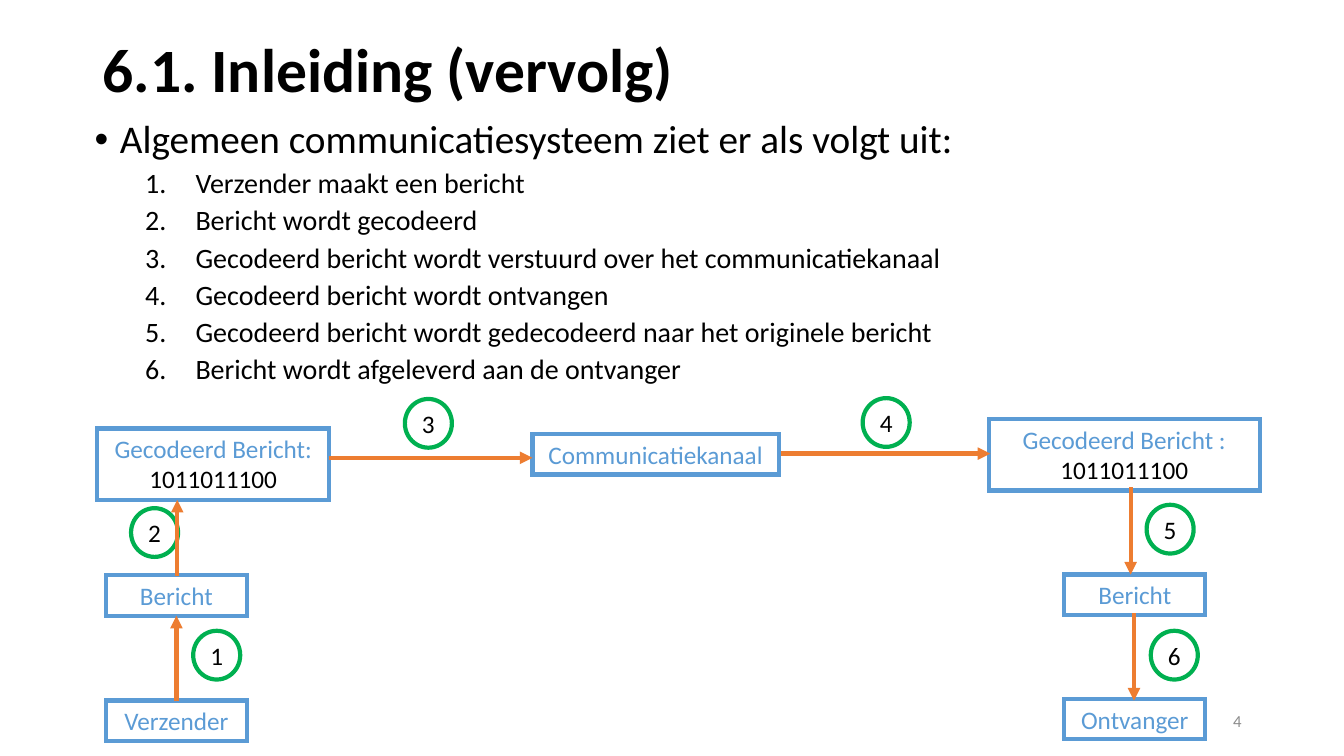
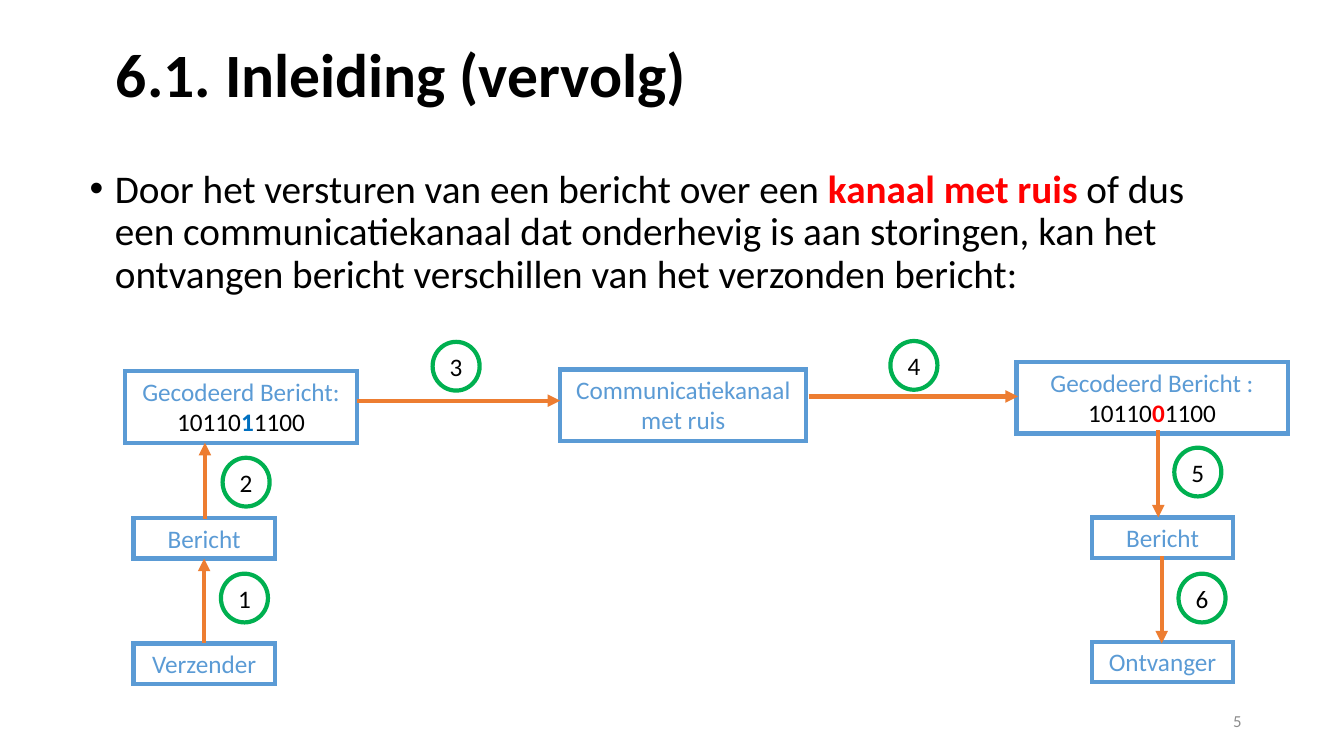
from lxml import etree
from pptx import Presentation
from pptx.dml.color import RGBColor
from pptx.enum.shapes import MSO_CONNECTOR, MSO_SHAPE
from pptx.enum.text import MSO_ANCHOR, MSO_AUTO_SIZE, PP_ALIGN
from pptx.oxml.ns import qn
from pptx.util import Inches, Pt

RECT, OVAL = MSO_SHAPE.RECTANGLE, MSO_SHAPE.OVAL
STRAIGHT = MSO_CONNECTOR.STRAIGHT
TOP, MIDDLE = MSO_ANCHOR.TOP, MSO_ANCHOR.MIDDLE
LEFT, CENTER, RIGHT = PP_ALIGN.LEFT, PP_ALIGN.CENTER, PP_ALIGN.RIGHT
FIXED, GROW = MSO_AUTO_SIZE.NONE, MSO_AUTO_SIZE.SHAPE_TO_FIT_TEXT

# The slide is a grid of 160 columns by 90 rows of square cells
CELL = Inches(1 / 12)
COLS, ROWS = 160, 90

FONT = "Calibri"
BLACK, WHITE, GREY = "000000", "FFFFFF", "8C8C8C"
SKY, BLUE, RED = "5B9BD5", "0070C0", "FF0000"
GREEN, ORANGE = "00B050", "ED7D31"
TITLE = "6.1. Inleiding (vervolg)"

STEPS = [
    "Verzender maakt een bericht",
    "Bericht wordt gecodeerd",
    "Gecodeerd bericht wordt verstuurd over het communicatiekanaal",
    "Gecodeerd bericht wordt ontvangen",
    "Gecodeerd bericht wordt gedecodeerd naar het originele bericht",
    "Bericht wordt afgeleverd aan de ontvanger",
]
NOISE = [
    ("Door het versturen van een bericht over een ", BLACK, False),
    ("kanaal met ruis ", RED, True),
    ("of dus een communicatiekanaal dat onderhevig is aan storingen, "
     "kan het ontvangen bericht verschillen van het verzonden bericht:",
     BLACK, False),
]

# Diagram, in cells from its own corner: node and message boxes, arrows, marks
WIDE, LOW, TALL = 16.8, 4.8, 8.5
NODES = [("Verzender", 1, 36), ("Bericht", 1, 21.1),
         ("Bericht", 115.1, 21), ("Ontvanger", 115.1, 35.8)]
CODED = [("Gecodeerd Bericht:", 0, 3.6, 27.6),
         ("Gecodeerd Bericht :", 106.1, 2.5, 32.3)]
ARROWS = [(9.4, 36, 9.4, 25.9), (9.5, 21.2, 9.5, 12.1),
          (27.6, 7.1, 51.8, 7.1), (81.4, 6.6, 106.3, 6.6),
          (123, 10.6, 123, 21), (123.4, 25.6, 123.4, 36)]
MARKS = {1: (11.4, 27.7), 3: (36.6, 0.1), 4: (91.1, 0),
         5: (124.9, 12.7), 6: (125.4, 27.7)}


def color(code):
    return RGBColor.from_string(code)


def cells(*sizes):
    return [round(size * CELL) for size in sizes]


def style(para, size, code=BLACK, bold=False, align=LEFT):
    para.alignment = align
    font = para.font
    font.name, font.size, font.bold = FONT, Pt(size), bold
    font.color.rgb = color(code)


def add_runs(para, runs):
    """Add runs that differ in colour and weight."""
    for text, code, bold in runs:
        run = para.add_run()
        run.text = text
        run.font.color.rgb = color(code)
        run.font.bold = bold


def bullet(para, left, hang, before, tag, **attrs):
    """Indent a paragraph and give it a bullet or a number."""
    para.line_spacing, para.space_before = 0.9, Pt(before)
    props = para._p.get_or_add_pPr()
    props.set("marL", str(Inches(left)))
    props.set("indent", str(-Inches(hang)))
    etree.SubElement(props, qn("a:buFont"), typeface="Arial" if tag == "buChar" else "+mj-lt")
    etree.SubElement(props, qn("a:" + tag), **attrs)


def add_text(slide, box, anchor=TOP):
    frame = slide.shapes.add_textbox(*cells(*box)).text_frame
    frame.word_wrap, frame.vertical_anchor = True, anchor
    return frame


def add_point(frame):
    para = frame.paragraphs[0]
    bullet(para, 0.25, 0.25, 10, "buChar", char="•")
    style(para, 28)
    return para


def add_shape(slide, kind, box, line, fill=None):
    shape = slide.shapes.add_shape(kind, *cells(*box))
    shape.shadow.inherit = False
    shape.line.color.rgb, shape.line.width = color(line), Pt(3)
    etree.SubElement(shape.line._get_or_add_ln(), qn("a:miter"), lim="800000")
    if fill:
        shape.fill.solid()
        shape.fill.fore_color.rgb = color(fill)
    else:
        shape.fill.background()
    return shape.text_frame


def add_box(slide, box, label, bits=()):
    frame = add_shape(slide, RECT, box, SKY, WHITE)
    frame.word_wrap, frame.auto_size = True, GROW
    frame.vertical_anchor = TOP
    para = frame.paragraphs[0]
    para.text = label
    style(para, 18, SKY, align=CENTER)
    if bits:
        para = frame.add_paragraph()
        style(para, 18, align=CENTER)
        add_runs(para, bits)


def add_mark(slide, number, x, y):
    frame = add_shape(slide, OVAL, (x, y, 5.6, 5.8), GREEN)
    frame.margin_left = frame.margin_right = 0
    frame.vertical_anchor = MIDDLE
    para = frame.paragraphs[0]
    para.text = str(number)
    style(para, 18, align=CENTER)


def add_arrow(slide, *ends):
    line = slide.shapes.add_connector(STRAIGHT, *cells(*ends))
    line.line.color.rgb, line.line.width = color(ORANGE), Pt(3)
    etree.SubElement(line.line._get_or_add_ln(), qn("a:tailEnd"), type="triangle")
    etree.SubElement(line._element.spPr, qn("a:effectLst"))


def add_slide(deck, number, x, y):
    """Add a slide with its title and page number."""
    slide = deck.slides.add_slide(deck.slide_layouts[5])
    title = slide.shapes.title
    title.left, title.top, title.width, title.height = cells(x, y, 138, 17.4)
    frame = title.text_frame
    frame.text = TITLE
    frame.auto_size, frame.vertical_anchor = FIXED, MIDDLE
    para = frame.paragraphs[0]
    para.line_spacing = 0.9
    style(para, 44, bold=True)
    page = add_text(slide, (113, 83.4, 36, 4.8), MIDDLE).paragraphs[0]
    page.text = str(number)
    style(page, 12, GREY, align=RIGHT)
    return slide


def add_scheme(slide, x, y, channel, rise, high, second, sent, got):
    """Draw the communication system with its corner at x, y."""
    for label, left, top in NODES:
        add_box(slide, (x + left, y + top, WIDE, LOW), label)
    for (label, left, top, width), bits in zip(CODED, (sent, got)):
        add_box(slide, (x + left, y + top, width, TALL), label, bits)
    add_box(slide, (x + 51.8, y + rise, 29.3, high), channel)
    for number, (left, top) in {**MARKS, 2: second}.items():
        add_mark(slide, number, x + left, y + top)
    for x1, y1, x2, y2 in ARROWS:
        add_arrow(slide, x + x1, y + y1, x + x2, y + y2)


def add_steps(deck):
    slide = add_slide(deck, 4, 11, -0.1)
    frame = add_text(slide, (10.1, 13.7, 139, 33))
    add_point(frame).text = "Algemeen communicatiesysteem ziet er als volgt uit:"
    for step in STEPS:
        para = frame.add_paragraph()
        para.text = step
        bullet(para, 1, 0.5, 5, "buAutoNum", type="arabicPeriod")
        style(para, 20)
    bits = [("1011011100", BLACK, False)]
    add_scheme(slide, 11.6, 47.4, "Communicatiekanaal", 4.3, LOW,
               (4, 13.1), bits, bits)


def add_noise(deck):
    slide = add_slide(deck, 5, 12.6, 0.5)
    frame = add_text(slide, (9.5, 19.6, 139, 18))
    add_runs(add_point(frame), NOISE)
    sent, got = ([("10110", BLACK, False), (bit, code, True), ("1100", BLACK, False)]
                 for bit, code in (("1", BLUE), ("0", RED)))
    add_scheme(slide, 14.9, 40.6, "Communicatiekanaal met ruis", 3.4, TALL,
               (11.6, 13.9), sent, got)


def main():
    deck = Presentation()
    deck.slide_width, deck.slide_height = cells(COLS, ROWS)
    add_steps(deck)
    add_noise(deck)
    deck.save("out.pptx")


if __name__ == "__main__":
    main()
